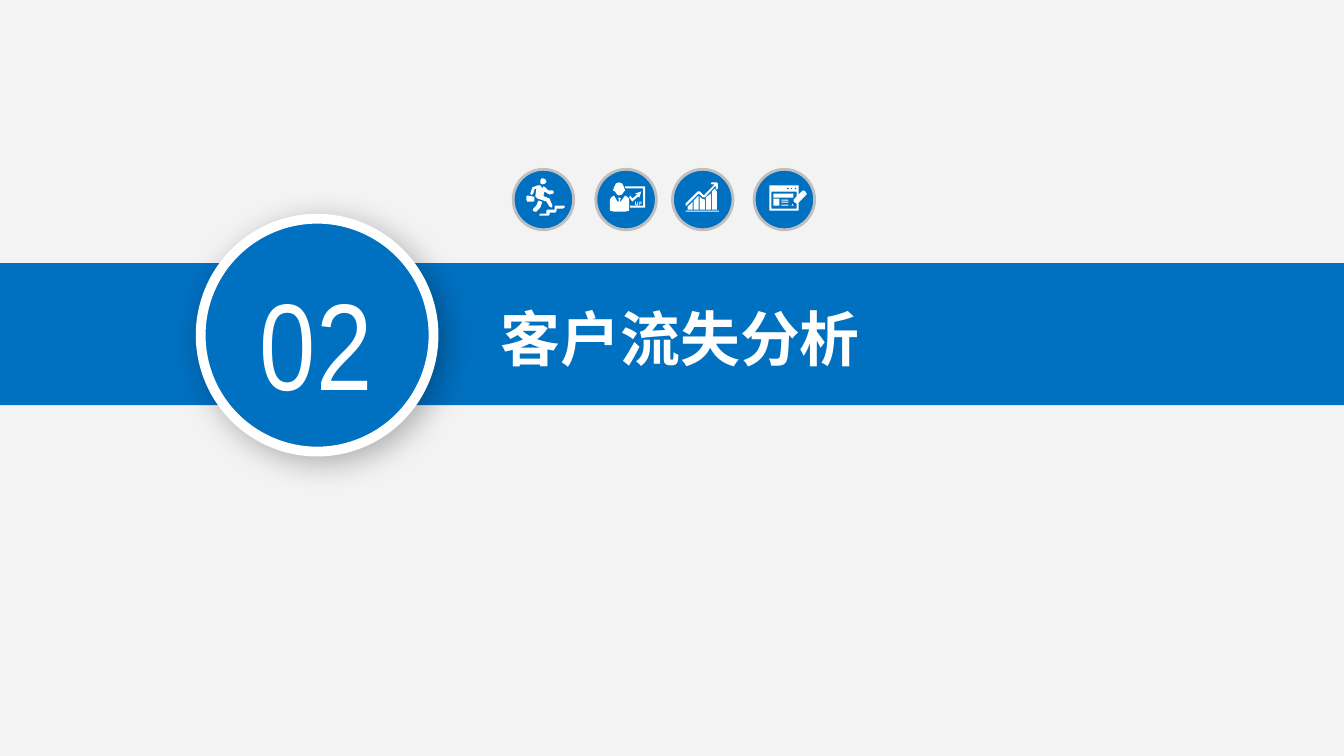
from dataclasses import dataclass
from typing import Union

from lxml import etree
from pptx import Presentation
from pptx import util as u
from pptx.dml.color import RGBColor
from pptx.enum import shapes, text
from pptx.oxml import ns

Point = tuple[float, float]
COLUMNS, ROWS = 1333, 750
WIDTH, HEIGHT = u.Inches(13.33), u.Inches(7.5)


@dataclass(frozen=True)
class Theme:
    background: str = "F3F3F3"
    blue: str = "0070C0"
    white: str = "FFFFFF"
    icon_ring: str = "BFBFBF"
    shadow: str = "000000"
    title_font: str = "Noto Sans CJK SC"
    number_font: str = "Arial Narrow"
    title_size: float = 42.7
    number_size: float = 88
    icon_ring_width: float = 2
    number_ring_width: float = 7


@dataclass(frozen=True)
class Box:
    left: float
    top: float
    width: float
    height: float


@dataclass(frozen=True)
class Outline:
    contours: list[list[Point]]


@dataclass(frozen=True)
class Icon:
    left: float
    glyphs: list[Union[Box, Outline]]


THEME = Theme()
ICON_TOP, ICON_SIZE = 168, 60


def column(count: float) -> int:
    return round(WIDTH * count / COLUMNS)


def row(count: float) -> int:
    return round(HEIGHT * count / ROWS)


def corners(left: float, top: float, right: float, bottom: float) -> list[Point]:
    return [(left, top), (right, top), (right, bottom), (left, bottom)]


def button(left: float, right: float) -> list[Point]:
    middle = (left + right) / 2
    return [(middle, 18), (right, 19), (middle, 20), (left, 19)]


def bar(left: float, *top_edge: Point) -> Outline:
    return Outline([[(left, 40), *top_edge, (left + 5, 40)]])


RUNNER = [
    Outline([[(27, 44), (33, 44), (33, 41), (34, 40), (41, 40), (41, 37), (42, 36), (51, 36),
              (51, 38), (49, 39), (43, 39), (43, 41), (42, 43), (36, 43), (36, 45), (35, 46),
              (26, 46), (26, 45)]]),
    Outline([
        [(14, 32), (20, 32), (21, 31), (21, 28), (20, 27), (14, 26), (13, 27), (13, 30)],
        [(20, 39), (23, 36), (25, 31), (28, 32), (29, 32), (27, 38), (23, 42), (21, 42), (19.5, 41)],
        [(30, 9), (32, 10), (33, 12), (32, 14), (29, 15), (27, 14), (27, 11), (28, 9)],
        [(30, 17), (32, 18), (35, 21), (39, 21), (40, 22), (40, 24), (36, 25), (31, 22),
         (30, 26), (31, 27), (36, 29), (39, 36), (38, 38), (36, 37), (33, 32), (24, 29),
         (22, 27), (23, 19), (21, 20), (20, 24), (18, 25.5), (17, 24), (19, 18), (24, 16),
         (27, 16), (29, 19)],
    ]),
]
PRESENTER = [
    Outline([[(29, 17), (29, 18), (30, 19), (47, 19), (47, 36), (34, 36), (34, 38), (49, 38),
              (49, 17)]]),
    Outline([[(19, 22), (21, 25), (23, 26), (26, 25), (28, 22), (29, 21), (28, 18), (26, 14),
              (23, 13), (20, 14), (18, 18), (17, 21)]]),
    Outline([[(34, 26), (33, 28), (36, 32), (42, 27), (43, 28), (45, 22), (39, 24), (41, 25),
              (36, 29)]]),
    Outline([[(29, 26), (24, 33), (24, 30), (25, 29), (23, 28), (22, 29), (23, 30), (22, 33),
              (18, 26), (15, 28), (14, 30), (14, 41), (18, 42), (29, 42), (33, 41), (33, 30),
              (32, 28)]]),
    Outline([[(39, 32), (39, 35), (40, 36), (41, 36), (42, 35), (42, 32), (41.3, 32),
              (41.3, 34.6), (40.5, 35.2), (39.7, 34.6), (39.7, 32)]]),
    Outline([[(43, 32), (43, 35.6), (43.6, 35.6), (43.6, 34), (45, 34), (45.4, 33), (45, 32)],
             corners(43.6, 32.6, 44.6, 33.4)]),
]
FORM = [
    Outline([corners(15, 16, 44, 41), corners(17, 22, 42, 39),
             button(32, 35), button(36, 38), button(40, 42)]),
    Box(19, 24, 20, 4),
    Box(19, 29, 6, 7),
    *[Box(27, top, 7, 1) for top in (30, 32, 35)],
    Outline([[(38, 34), (37, 36), (39, 36)]]),
    Outline([[(51, 26), (52, 25), (52, 24), (50, 21), (48, 21), (47, 22)]]),
    Outline([[(47, 22), (39, 30), (39, 32), (40, 32), (40, 33), (41, 33), (42, 34), (43, 34),
              (51, 26)]]),
]
GROWTH = [
    Box(13, 41, 33, 1),
    bar(15, (15, 37), (20, 32)),
    bar(21, (21, 31), (26, 26)),
    bar(27, (27, 27), (29, 29), (32, 30)),
    bar(33, (33, 28), (38, 24)),
    bar(39, (39, 22), (42, 19), (44, 22)),
    Outline([[(14, 36), (26, 24), (30, 28), (32, 28), (43, 16), (43, 19), (44, 20), (45, 19),
              (45, 14), (44, 13), (39, 13), (38, 14), (39, 15), (42, 15), (31, 26), (27, 22),
              (25, 22), (13, 34), (13, 36)]]),
]
ICONS = [Icon(509, RUNNER), Icon(591, PRESENTER), Icon(748, FORM), Icon(667, GROWTH)]


def paint(shape, fill: str, line: str = "", line_width: float = 0) -> None:
    shape.shadow.inherit = False
    shape.fill.solid()
    shape.fill.fore_color.rgb = RGBColor.from_string(fill)
    if line:
        shape.line.color.rgb = RGBColor.from_string(line)
        shape.line.width = u.Pt(line_width)
    else:
        shape.line.fill.background()


def add_preset(canvas, kind, box: Box, fill: str, line: str = "", line_width: float = 0):
    shape = canvas.add_shape(kind, column(box.left), row(box.top),
                             column(box.width), row(box.height))
    paint(shape, fill, line, line_width)
    return shape


def add_outline(canvas, outline: Outline, left: float, top: float, fill: str) -> None:
    contours = [[(column(left + x), row(top + y)) for x, y in contour]
                for contour in outline.contours]
    builder = canvas.build_freeform(*contours[0][0], scale=1.0)
    for index, contour in enumerate(contours):
        if index:
            builder.move_to(*contour[0])
        builder.add_line_segments(contour[1:], close=True)
    paint(builder.convert_to_shape(), fill)


def add_icon(slide, icon: Icon) -> None:
    canvas = slide.shapes.add_group_shape().shapes
    add_preset(canvas, shapes.MSO_SHAPE.OVAL, Box(icon.left, ICON_TOP, ICON_SIZE, ICON_SIZE),
               THEME.blue, THEME.icon_ring, THEME.icon_ring_width)
    for glyph in icon.glyphs:
        if isinstance(glyph, Box):
            box = Box(icon.left + glyph.left, ICON_TOP + glyph.top, glyph.width, glyph.height)
            add_preset(canvas, shapes.MSO_SHAPE.RECTANGLE, box, THEME.white)
        else:
            add_outline(canvas, glyph, icon.left, ICON_TOP, THEME.white)


def add_text(canvas, words: str, *, box: Box, font: str, size: float, color: str,
             bold: bool = False, align=text.PP_ALIGN.LEFT) -> None:
    frame = canvas.add_textbox(column(box.left), row(box.top),
                               column(box.width), row(box.height)).text_frame
    frame.word_wrap = True
    frame.auto_size = text.MSO_AUTO_SIZE.SHAPE_TO_FIT_TEXT
    paragraph = frame.paragraphs[0]
    paragraph.alignment = align
    run = paragraph.add_run()
    run.text = words
    run.font.name, run.font.size, run.font.bold = font, u.Pt(size), bold
    run.font.color.rgb = RGBColor.from_string(color)
    etree.SubElement(run.font._element, ns.qn("a:ea"), typeface=font)


def add_soft_shadow(shape, color: str) -> None:
    effects = shape._element.spPr.find(ns.qn("a:effectLst"))
    shadow = etree.SubElement(effects, ns.qn("a:outerShdw"), blurRad=str(u.Pt(22)),
                              dist=str(u.Pt(6)), dir="2700000", algn="tl", rotWithShape="0")
    tint = etree.SubElement(shadow, ns.qn("a:srgbClr"), val=color)
    etree.SubElement(tint, ns.qn("a:alpha"), val="28000")


def main() -> None:
    presentation = Presentation()
    presentation.slide_width, presentation.slide_height = WIDTH, HEIGHT
    slide = presentation.slides.add_slide(presentation.slide_layouts[6])
    slide.background.fill.solid()
    slide.background.fill.fore_color.rgb = RGBColor.from_string(THEME.background)
    add_preset(slide.shapes, shapes.MSO_SHAPE.RECTANGLE, Box(0, 261, COLUMNS, 141), THEME.blue)
    add_text(slide.shapes, "客户流失分析", box=Box(487, 294, 472, 82), font=THEME.title_font,
             size=THEME.title_size, color=THEME.white, bold=True)
    for icon in ICONS:
        add_icon(slide, icon)
    badge = slide.shapes.add_group_shape().shapes
    circle = add_preset(badge, shapes.MSO_SHAPE.OVAL, Box(199, 217, 231, 231), THEME.blue,
                        THEME.white, THEME.number_ring_width)
    add_soft_shadow(circle, THEME.shadow)
    add_text(badge, "02", box=Box(226, 260, 175, 158), font=THEME.number_font,
             size=THEME.number_size, color=THEME.white, align=text.PP_ALIGN.CENTER)
    presentation.save("out.pptx")


if __name__ == "__main__":
    main()
